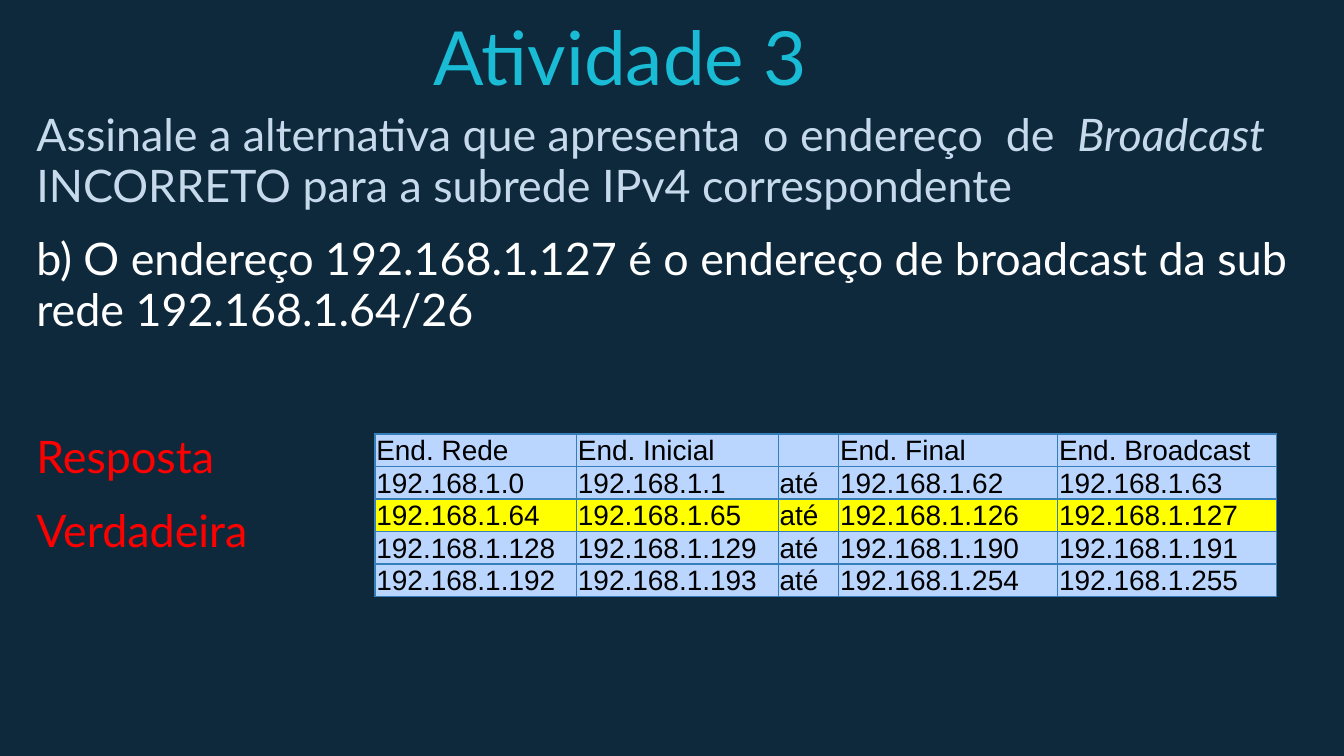
from lxml.etree import SubElement
from pptx import Presentation
from pptx.dml.color import RGBColor
from pptx.enum.text import MSO_ANCHOR, MSO_AUTO_SIZE, PP_ALIGN
from pptx.oxml.ns import qn
from pptx.util import Inches, Pt

TITLE = "Atividade 3"
BODY = [
    ([("Assinale a alternativa que apresenta  o endereço  de  ", False),
      ("Broadcast ", True),
      (" INCORRETO para a subrede IPv4 correspondente", False)], "C6DAEC", 0),
    ([("b) O endereço 192.168.1.127 é o endereço de broadcast da sub rede 192.168.1.64/26",
       False)], "FFFFFF", 12),
    ([("Resposta", False)], "FF0000", 51.4),
    ([("Verdadeira", False)], "FF0000", 12),
]
SUBNETS = [
    ("End. Rede", "End. Inicial", "", "End. Final", "End. Broadcast"),
    ("192.168.1.0", "192.168.1.1", "até", "192.168.1.62", "192.168.1.63"),
    ("192.168.1.64", "192.168.1.65", "até", "192.168.1.126", "192.168.1.127"),
    ("192.168.1.128", "192.168.1.129", "até", "192.168.1.190", "192.168.1.191"),
    ("192.168.1.192", "192.168.1.193", "até", "192.168.1.254", "192.168.1.255"),
]
COLUMN_WIDTHS = [1.5, 1.5, 0.45, 1.63, 1.63]
ROW_HEIGHT = 0.21
ANSWER_ROW = 2


def rgb(value):
    return RGBColor.from_string(value)


def style(font, name, size, color):
    font.name, font.size = name, Pt(size)
    font.color.rgb = rgb(color)


def place(sp, left, top, width, height, anchor):
    sp.left, sp.top = Inches(left), Inches(top)
    sp.width, sp.height = Inches(width), Inches(height)
    tf = sp.text_frame
    tf.margin_left = tf.margin_right = tf.margin_top = tf.margin_bottom = Inches(0.1)
    tf.word_wrap, tf.auto_size = True, MSO_AUTO_SIZE.NONE
    tf.vertical_anchor = anchor
    return tf


def add_borders(cell, color, width):
    tcPr = cell._tc.get_or_add_tcPr()
    for side in ("a:lnL", "a:lnR", "a:lnT", "a:lnB"):
        ln = SubElement(tcPr, qn(side), w=str(Pt(width)))
        fill = SubElement(ln, qn("a:solidFill"))
        SubElement(fill, qn("a:srgbClr"), val=color)


def fill_cell(cell, text, color):
    add_borders(cell, "367EB9", 0.75)
    cell.fill.solid()
    cell.fill.fore_color.rgb = rgb(color)
    cell.margin_left = cell.margin_right = cell.margin_top = Inches(0.01)
    cell.margin_bottom = 0
    cell.vertical_anchor = MSO_ANCHOR.BOTTOM
    cell.text_frame.text = text
    p = cell.text_frame.paragraphs[0]
    end = p._p.get_or_add_endParaRPr()
    end.set("sz", "1500")
    SubElement(end, qn("a:latin"), typeface="Arial")
    for r in p.runs:
        style(r.font, "Arial", 15, "000000")


prs = Presentation()
prs.slide_width = Inches(10)
prs.slide_height = prs.slide_width * 9 // 16
s = prs.slides.add_slide(prs.slide_layouts[1])
s.background.fill.solid()
s.background.fill.fore_color.rgb = rgb("0E293C")

tf = place(s.shapes.title, 1.91, 0.14, 5.41, 0.71, MSO_ANCHOR.BOTTOM)
tf.text = TITLE
tf.paragraphs[0].alignment = PP_ALIGN.CENTER
style(tf.paragraphs[0].runs[0].font, "Lato", 40, "19BBD5")

tf = place(s.placeholders[1], 0.17, 0.72, 9.68, 0.71, MSO_ANCHOR.TOP)
for i, (runs, color, gap) in enumerate(BODY):
    p = tf.add_paragraph() if i else tf.paragraphs[0]
    pPr = p._p.get_or_add_pPr()
    pPr.set("marL", "0")
    pPr.set("indent", "0")
    SubElement(pPr, qn("a:buNone"))
    p.line_spacing, p.space_before = 0.95, Pt(gap)
    for text, italic in runs:
        r = p.add_run()
        r.text = text
        style(r.font, "Lato", 24, color)
        r.font.italic = italic

table = s.shapes.add_table(
    len(SUBNETS), len(COLUMN_WIDTHS), Inches(2.79), Inches(3.23),
    Inches(sum(COLUMN_WIDTHS)), Inches(ROW_HEIGHT * len(SUBNETS))).table
for column, width in zip(table.columns, COLUMN_WIDTHS):
    column.width = Inches(width)
for i, row in enumerate(SUBNETS):
    for j, text in enumerate(row):
        fill_cell(table.cell(i, j), text, "FFFF00" if i == ANSWER_ROW else "BAD6FF")

prs.save("out.pptx")
